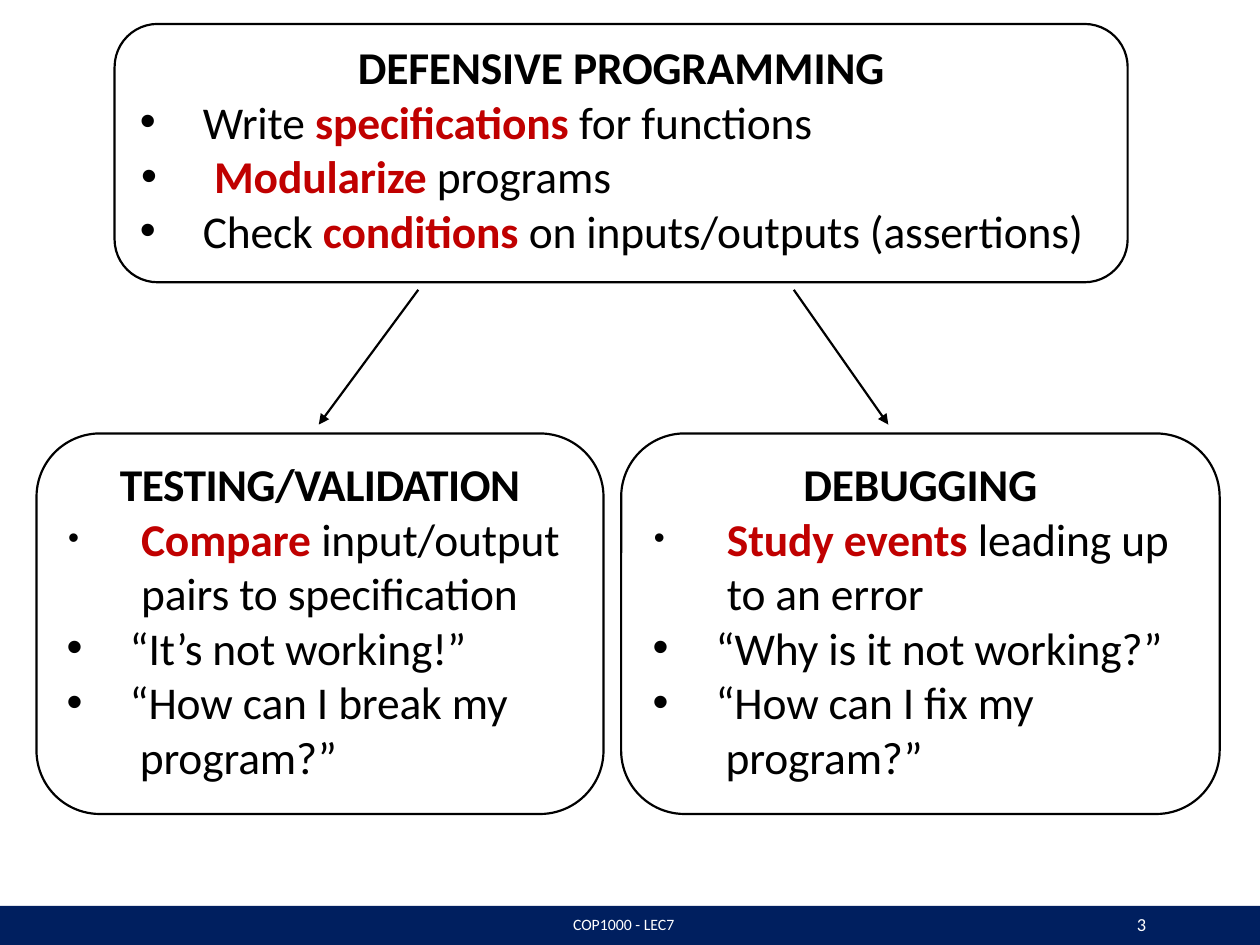
"""Build the slide on defensive programming, testing and debugging."""
from lxml.etree import SubElement
from pptx import Presentation
from pptx.dml.color import RGBColor
from pptx.enum.shapes import MSO_CONNECTOR as LINK, MSO_SHAPE as SHAPE
from pptx.enum.text import PP_ALIGN as ALIGN
from pptx.oxml.ns import qn
from pptx.util import Inches, Pt

BLACK = RGBColor(0x00, 0x00, 0x00)
WHITE = RGBColor(0xFF, 0xFF, 0xFF)
RED = RGBColor(0xC0, 0x00, 0x00)
NAVY = RGBColor(0x00, 0x1F, 0x5F)


class Painter:
    font = "Calibri"
    body_size = Pt(26)
    line_width = Pt(1.25)

    def __init__(self, page):
        self.page = page

    def band(self, left, top, width, height):
        band = self.page.shapes.add_shape(
            SHAPE.RECTANGLE, Inches(left), Inches(top), Inches(width), Inches(height))
        band.shadow.inherit = False
        band.fill.solid()
        band.fill.fore_color.rgb = NAVY
        band.line.fill.background()

    def frame(self, left, top, width, height):
        frame = self.page.shapes.add_shape(
            SHAPE.ROUNDED_RECTANGLE, Inches(left), Inches(top), Inches(width), Inches(height))
        frame.shadow.inherit = False
        frame.fill.background()
        frame.line.color.rgb = BLACK
        frame.line.width = self.line_width

    def text_box(self, left, top, width, height):
        box = self.page.shapes.add_textbox(
            Inches(left), Inches(top), Inches(width), Inches(height))
        body = box.text_frame
        body.word_wrap = True
        body.margin_left = body.margin_right = body.margin_top = body.margin_bottom = 0
        return body

    def style(self, para, size, color, bold=False):
        para.font.name = self.font
        para.font.size = size
        para.font.bold = bold
        para.font.color.rgb = color

    def bullet(self, para, margin, hanging, scale):
        props = para._p.get_or_add_pPr()
        props.set("marL", str(Inches(margin)))
        props.set("indent", str(-Inches(hanging)))
        color = SubElement(props, qn("a:buClr"))
        SubElement(color, qn("a:srgbClr"), val=str(BLACK))
        SubElement(props, qn("a:buSzPct"), val=str(scale * 1000))
        SubElement(props, qn("a:buFont"), typeface="Arial")
        SubElement(props, qn("a:buChar"), char="•")

    def spans(self, para, text, spacing=-0.1):
        """Write text where asterisks enclose red bold words and newlines break lines."""
        for number, part in enumerate(text.split("*")):
            for row, words in enumerate(part.split("\n")):
                if row:
                    para.add_line_break()
                if words:
                    span = para.add_run()
                    span.text = words
                    span._r.get_or_add_rPr().set("spc", str(round(spacing * 100)))
                    if number % 2:
                        span.font.bold = True
                        span.font.color.rgb = RED

    def card(self, place, pad, title, items, title_spacing=-0.1):
        left, top, width, height = place
        side, head = pad
        self.frame(*place)
        body = self.text_box(left + side, top + head, width - 2 * side, height - 2 * head)
        para = body.paragraphs[0]
        para.alignment = ALIGN.CENTER
        para.space_before = Pt(1)
        self.style(para, self.body_size, BLACK, bold=True)
        self.spans(para, title, title_spacing)
        for text, margin, hanging, scale in items:
            para = body.add_paragraph()
            self.bullet(para, margin, hanging, scale)
            self.style(para, self.body_size, BLACK)
            self.spans(para, text)

    def arrow(self, start, end):
        arrow = self.page.shapes.add_connector(
            LINK.STRAIGHT, *(Inches(value) for value in (*start, *end)))
        arrow.line.color.rgb = BLACK
        arrow.line.width = self.line_width
        SubElement(arrow.line._get_or_add_ln(), qn("a:tailEnd"), type="triangle")
        SubElement(arrow._element.spPr, qn("a:effectLst"))

    def label(self, place, text, size):
        para = self.text_box(*place).paragraphs[0]
        para.alignment = ALIGN.CENTER
        self.style(para, size, WHITE)
        self.spans(para, text, 0)


def main():
    deck = Presentation()
    deck.slide_width, deck.slide_height = Inches(10), Inches(7.5)
    painter = Painter(deck.slides.add_slide(deck.slide_layouts[6]))
    plain = (0.51, 0.5, 100)
    wide = (0.6, 0.58, 100)
    small = (0.6, 0.58, 69)

    painter.band(0, 7.19, 10, 0.31)
    painter.card((0.91, 0.19, 8.04, 2.05), (0.19, 0.12), "DEFENSIVE PROGRAMMING", [
        ("Write *specifications *for functions", *plain),
        ("*Modularize *programs", *wide),
        ("Check *conditions *on inputs/outputs (assertions)", *plain),
    ])
    painter.card((0.29, 3.44, 4.5, 3.02), (0.23, 0.18), "TESTING/VALIDATION", [
        ("*Compare *input/output\npairs to specification", *small),
        ("“It’s not working!”", *plain),
        ("“How can I break my\n program?”", *plain),
    ], title_spacing=-0.3)
    painter.card((4.93, 3.44, 4.75, 3.02), (0.24, 0.18), "DEBUGGING", [
        ("*Study events *leading up\nto an error", *small),
        ("“Why is it not working?”", *plain),
        ("“How can I fix my\n program?”", *plain),
    ])
    painter.arrow((3.32, 2.3), (2.53, 3.37))
    painter.arrow((6.3, 2.3), (7.05, 3.37))
    painter.label((4.48, 7.26, 0.94, 0.14), "COP1000 - LEC7", Pt(9))
    painter.label((8.98, 7.25, 0.16, 0.18), "3", Pt(10.5))
    deck.save("out.pptx")


if __name__ == "__main__":
    main()
